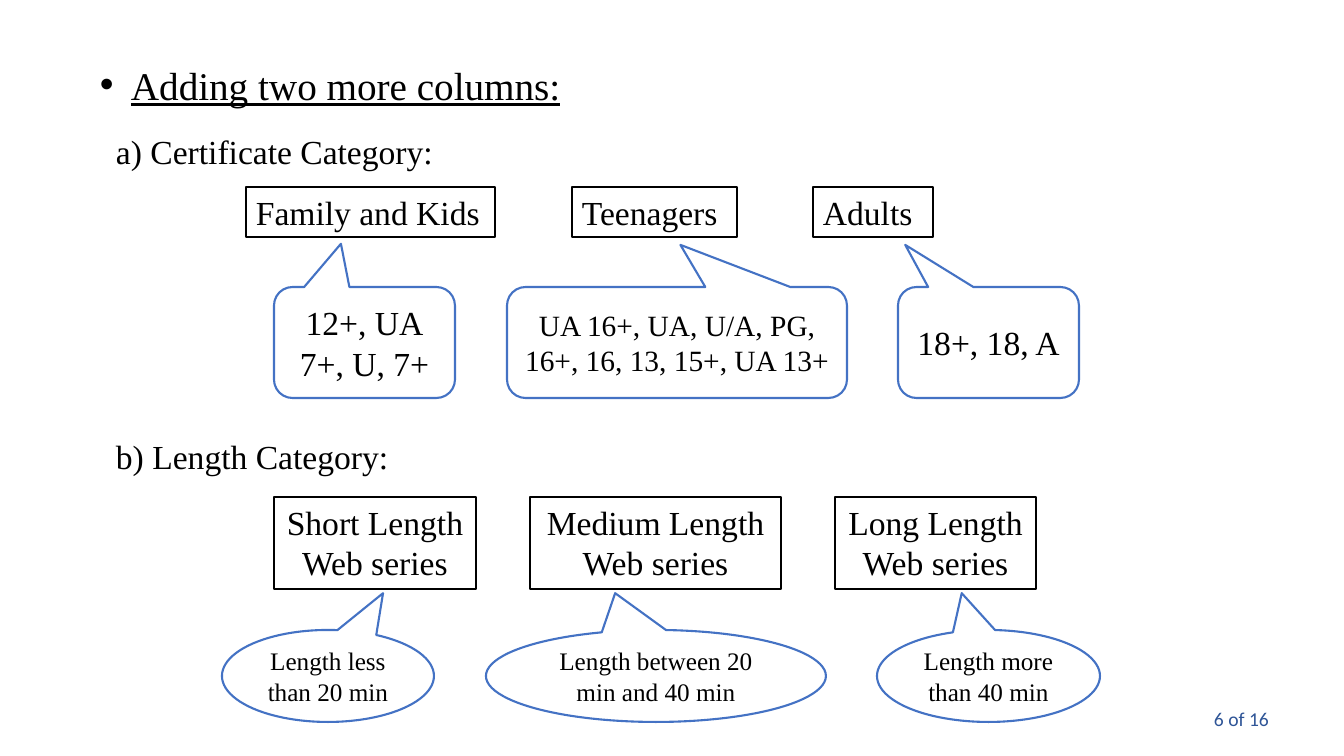
import pptx
import pptx.util
import pptx.dml.color
import pptx.enum.shapes
import pptx.enum.text
import pptx.oxml.ns
from dataclasses import dataclass
from lxml import etree

SHAPE = pptx.enum.shapes.MSO_SHAPE
ALIGN = pptx.enum.text.PP_ALIGN
ANCHOR = pptx.enum.text.MSO_ANCHOR
FIT = pptx.enum.text.MSO_AUTO_SIZE
EMU_PER_PX = 914400 / 100.8


@dataclass(frozen=True)
class Theme:
    ink: str = "000000"
    paper: str = "FFFFFF"
    accent: str = "4472C4"
    footer: str = "2F5597"
    font: str = "Times New Roman"
    footer_font: str = "Calibri"
    heading: int = 28
    body: int = 24
    dense: int = 21
    note: int = 18
    page: int = 14
    box_line: float = 1
    callout_line: float = 1.5


def px(n):
    return pptx.util.Emu(round(n * EMU_PER_PX))


def rgb(value):
    return pptx.dml.color.RGBColor.from_string(value)


class Deck:
    def __init__(self, theme):
        self.theme = theme
        self.prs = pptx.Presentation()
        self.prs.slide_width, self.prs.slide_height = px(1344), px(756)
        self.slide = self.prs.slides.add_slide(self.prs.slide_layouts[6])

    def fill_text(self, s, text, size, align=ALIGN.LEFT, color=None, **font):
        """Fill a shape with paragraphs, one per line of text."""
        tf = s.text_frame
        tf.word_wrap = True
        for i, line in enumerate(text.split("\n")):
            p = tf.paragraphs[0] if i == 0 else tf.add_paragraph()
            p.alignment = align
            r = p.add_run()
            r.text = line
            r.font.color.rgb = rgb(color or self.theme.ink)
            formats = {"name": self.theme.font, "size": pptx.util.Pt(size), **font}
            for key, value in formats.items():
                setattr(r.font, key, value)
        return tf

    def text(self, box, text, size, **style):
        s = self.slide.shapes.add_textbox(*map(px, box))
        tf = self.fill_text(s, text, size, **style)
        tf.auto_size = FIT.SHAPE_TO_FIT_TEXT
        return tf

    def bullet(self, box, text, size, indent, **style):
        p = self.text(box, text, size, **style).paragraphs[0]
        pPr = p._p.get_or_add_pPr()
        pPr.set("marL", str(px(indent)))
        pPr.set("indent", str(px(-indent)))
        qn = pptx.oxml.ns.qn
        etree.SubElement(pPr, qn("a:buFont"), typeface="Arial")
        etree.SubElement(pPr, qn("a:buChar"), char="•")

    def shape(self, kind, box, line, width):
        s = self.slide.shapes.add_shape(kind, *map(px, box))
        s.shadow.inherit = False
        s.fill.solid()
        s.fill.fore_color.rgb = rgb(self.theme.paper)
        s.line.color.rgb = rgb(line)
        s.line.width = pptx.util.Pt(width)
        return s

    def label(self, box, text, align):
        s = self.shape(SHAPE.RECTANGLE, box, self.theme.ink, self.theme.box_line)
        tf = self.fill_text(s, text, self.theme.body, align)
        tf.vertical_anchor = ANCHOR.TOP
        tf.auto_size = FIT.SHAPE_TO_FIT_TEXT

    def callout(self, kind, box, text, size, tip):
        s = self.shape(kind, box, self.theme.accent, self.theme.callout_line)
        for i, value in enumerate(tip):
            s.adjustments[i] = value
        tf = self.fill_text(s, text, size, ALIGN.CENTER)
        tf.vertical_anchor = ANCHOR.MIDDLE


def main():
    t = Theme()
    deck = Deck(t)

    # Page number and headings
    deck.text((1204, 702, 118, 34), "6 of 16", t.page,
              color=t.footer, name=t.footer_font)
    deck.bullet((90, 56, 1084, 57), "Adding two more columns:", t.heading, 31,
                underline=True)
    for y, text in ((126, "a) Certificate Category:"), (431, "b) Length Category:")):
        deck.text((106, y, 548, 50), text, t.body)

    # Category labels: left, width, text
    label_rows = (
        (187, 50, ALIGN.LEFT, ((246, 249, "Family and Kids"),
                               (572, 165, "Teenagers"),
                               (813, 120, "Adults"))),
        (497, 92, ALIGN.CENTER, ((274, 202, "Short Length Web series"),
                                 (530, 251, "Medium Length Web series"),
                                 (835, 201, "Long Length Web series"))),
    )
    for y, h, align, labels in label_rows:
        for x, w, text in labels:
            deck.label((x, y, w, h), text, align)

    # Callouts: left, width, text, size, pointer tip
    callout_rows = (
        (SHAPE.ROUNDED_RECTANGULAR_CALLOUT, 287, 111, (
            (274, 181, "12+, UA\n7+, U, 7+", t.body, (-0.13, -0.89)),
            (507, 340, "UA 16+, UA, U/A, PG, 16+, 16, 13, 15+, UA 13+",
             t.dense, (0.01, -0.88)),
            (898, 181, "18+, 18, A", t.body, (-0.46, -0.88)))),
        (SHAPE.OVAL_CALLOUT, 630, 92, (
            (222, 212, "Length less than 20 min", t.note, (0.26, -0.9)),
            (486, 340, "Length between 20 min and 40 min", t.note, (-0.12, -0.9)),
            (877, 223, "Length more than 40 min", t.note, (-0.12, -0.9)))),
    )
    for kind, y, h, callouts in callout_rows:
        for x, w, text, size, tip in callouts:
            deck.callout(kind, (x, y, w, h), text, size, tip)

    deck.prs.save("out.pptx")


if __name__ == "__main__":
    main()
